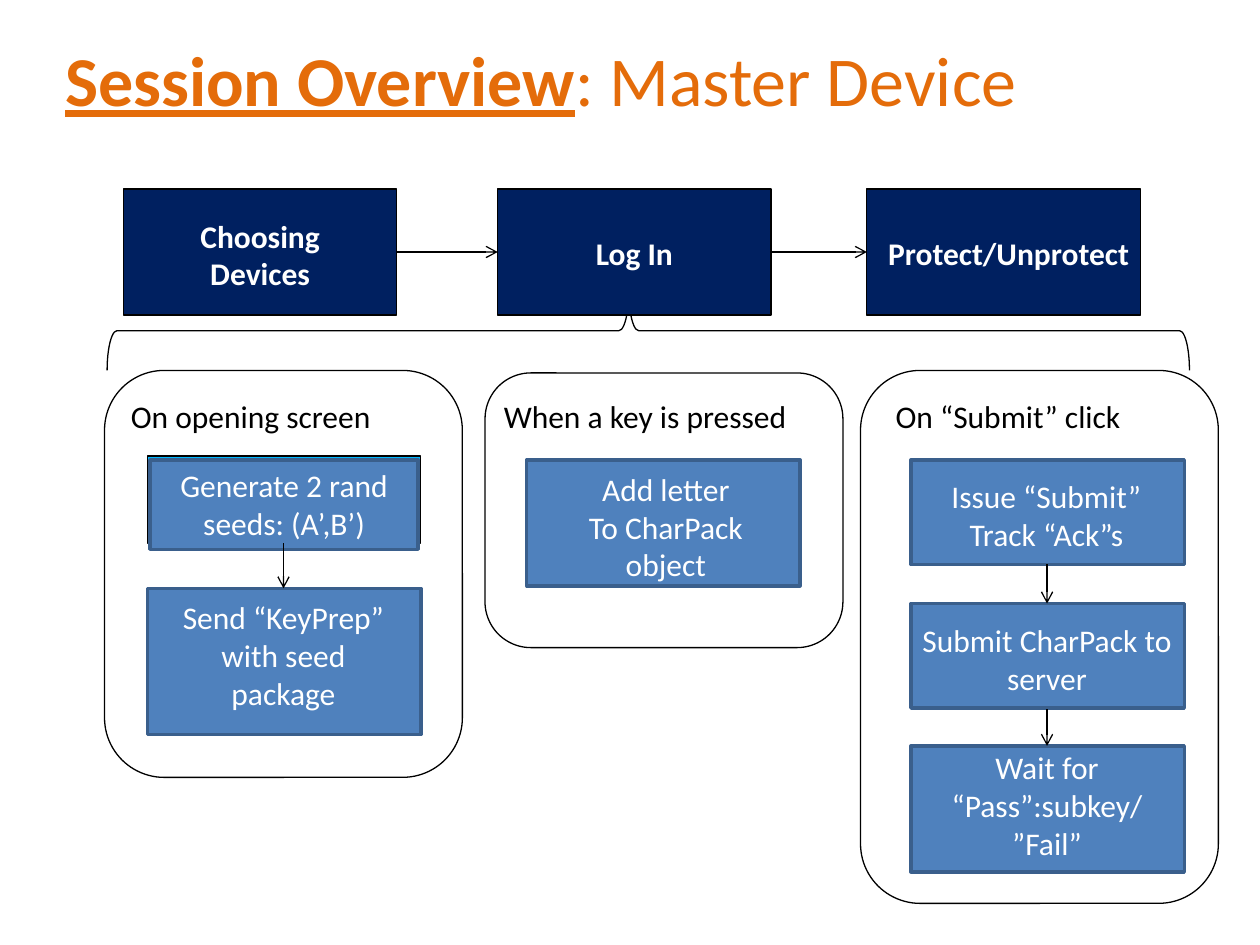
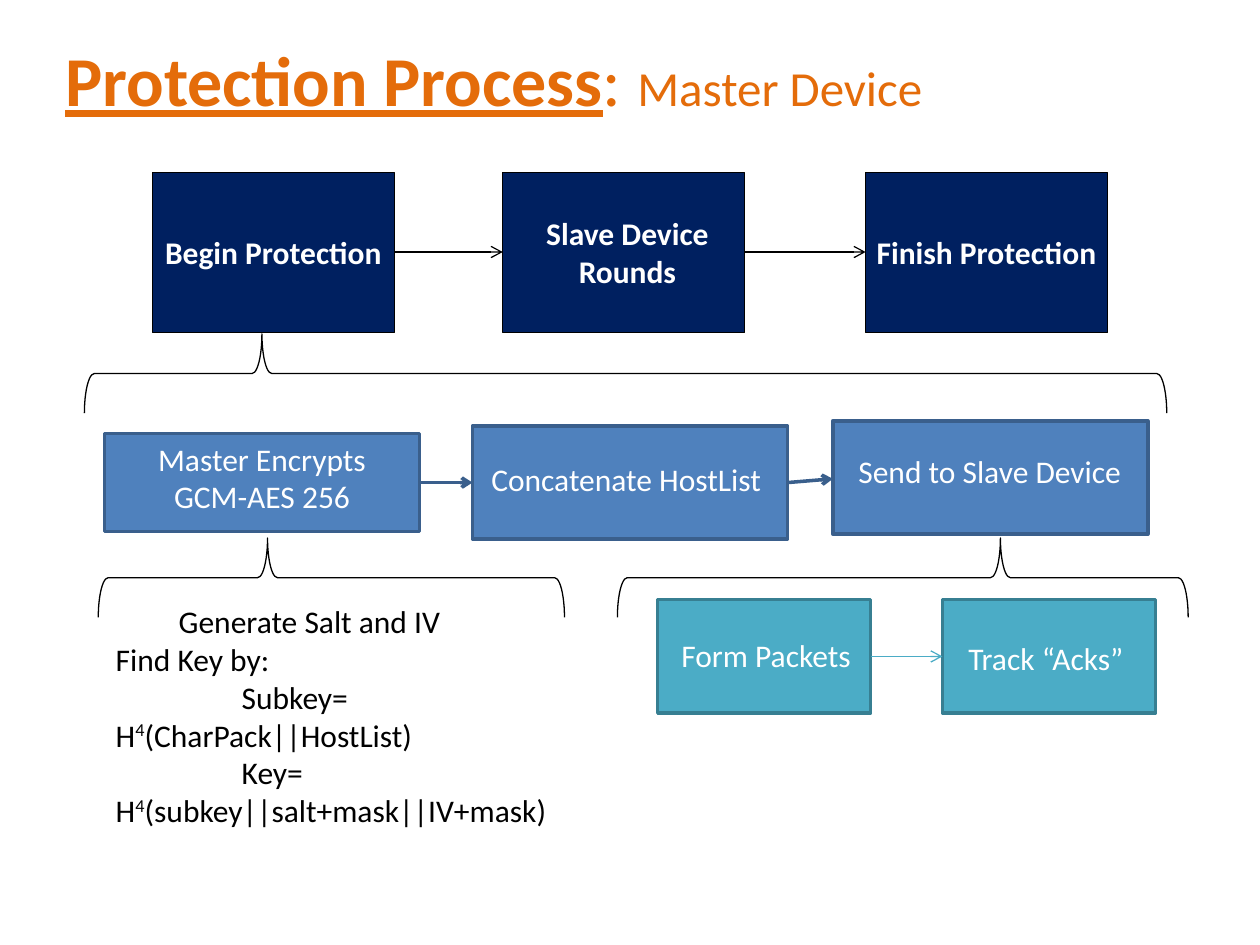
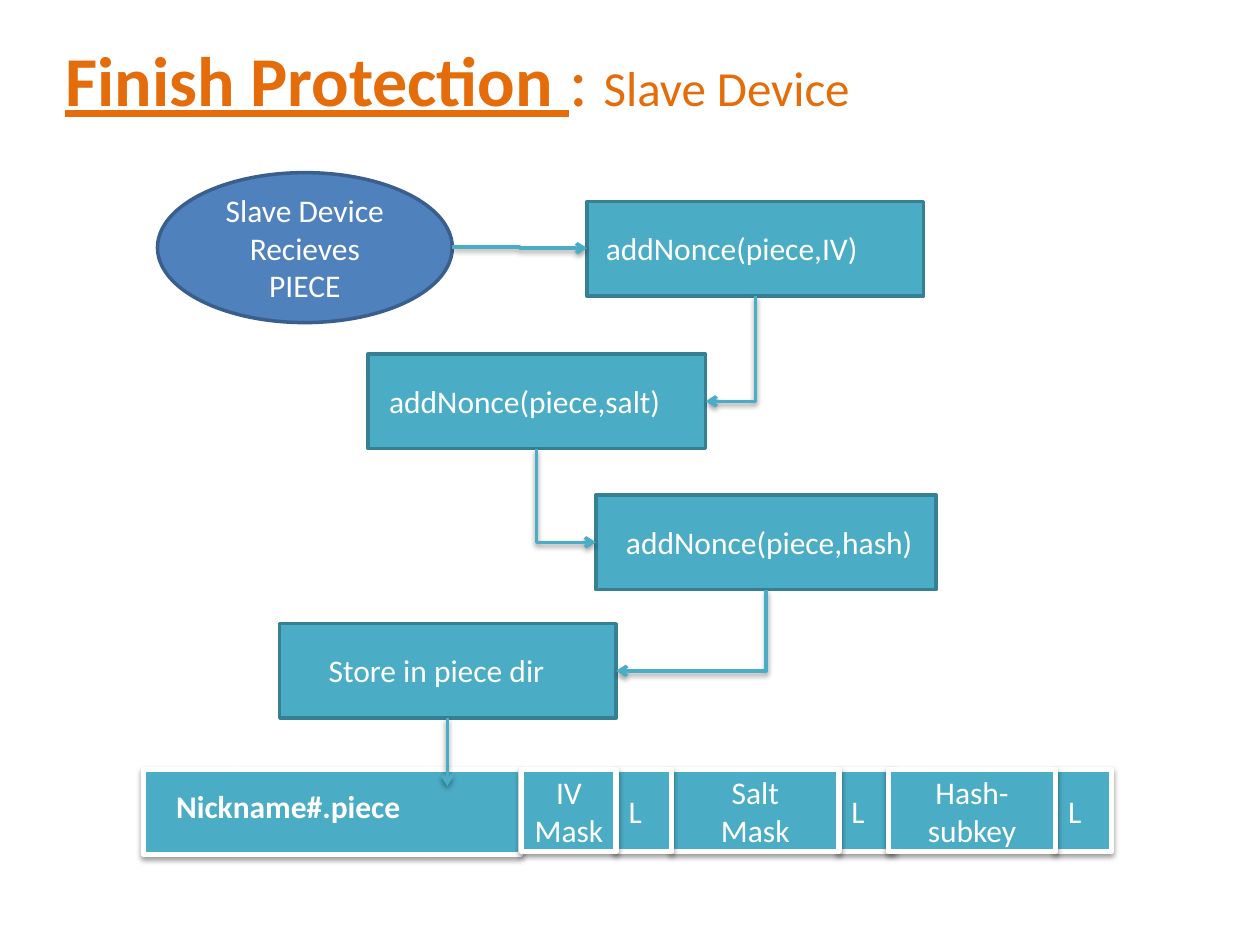
from lxml.etree import SubElement
from pptx import Presentation
from pptx.dml.color import RGBColor
from pptx.enum.shapes import MSO_CONNECTOR as LINK, MSO_SHAPE as SHAPE
from pptx.enum.text import MSO_ANCHOR as ANCHOR, PP_ALIGN as ALIGN
from pptx.oxml.ns import qn
from pptx.util import Inches, Pt

FONT = "Calibri"
WHITE = RGBColor(0xFF, 0xFF, 0xFF)
BLACK = RGBColor(0x00, 0x00, 0x00)
ORANGE = RGBColor(0xE4, 0x6C, 0x0A)
NAVY = RGBColor(0x00, 0x20, 0x60)
SKY = RGBColor(0x00, 0xB8, 0xFF)
BLUE = RGBColor(0x4F, 0x81, 0xBD)
BLUE_EDGE = RGBColor(0x3A, 0x5F, 0x8C)
TEAL = RGBColor(0x4B, 0xAC, 0xC6)
TEAL_EDGE = RGBColor(0x37, 0x7F, 0x92)

STAGE = dict(fill=NAVY, edge=BLACK)
STEP = dict(fill=BLUE, edge=BLUE_EDGE, weight=2)
ACTION = dict(fill=TEAL, edge=TEAL_EDGE, weight=2)
FIELD = dict(fill=TEAL, edge=WHITE, weight=3, shadow=True)


def add_block(slide, kind, at, lines=(), fill=None, edge=None, weight=0.75,
              shadow=False, color=WHITE, bold=False, align=ALIGN.CENTER,
              anchor=ANCHOR.TOP, wrap=True):
    """Add a preset shape, or a text box when kind is None."""
    box = [Inches(length) for length in at]
    if kind is None:
        block = slide.shapes.add_textbox(*box)
    else:
        block = slide.shapes.add_shape(kind, *box)
        block.shadow.inherit = False
        if fill is None:
            block.fill.background()
        else:
            block.fill.solid()
            block.fill.fore_color.rgb = fill
        block.line.color.rgb = edge
        block.line.width = Pt(weight)
        if shadow:
            cast = SubElement(block._element.spPr.find(qn("a:effectLst")), qn("a:outerShdw"),
                              blurRad="40000", dist="20000", dir="5400000", rotWithShape="0")
            tint = SubElement(cast, qn("a:srgbClr"), val="000000")
            SubElement(tint, qn("a:alpha"), val="38000")
    frame = block.text_frame
    frame.word_wrap = wrap
    frame.vertical_anchor = anchor
    for i, line in enumerate(lines):
        paragraph = frame.paragraphs[0] if i == 0 else frame.add_paragraph()
        paragraph.alignment = align
        run = paragraph.add_run()
        run.text = line
        run.font.name, run.font.size, run.font.bold = FONT, Pt(18), bold
        run.font.color.rgb = color
    return block


def add_arrow(slide, start, end, color=BLACK, weight=0.75, route="line", shadow=False):
    """Add an arrow; route is line, step (across) or corner (down, then across)."""
    (x1, y1), (x2, y2) = start, end
    if route == "corner":
        # A corner is drawn on its side and turned by 90 degrees.
        middle_x, middle_y = (x1 + x2) / 2, (y1 + y2) / 2
        half_w, half_h = (y2 - y1) / 2, (x1 - x2) / 2
        x1, x2 = middle_x - half_w, middle_x + half_w
        y1, y2 = middle_y - half_h, middle_y + half_h
    link = LINK.STRAIGHT if route == "line" else LINK.ELBOW
    arrow = slide.shapes.add_connector(link, *map(Inches, (x1, y1, x2, y2)))
    properties = arrow._element.spPr
    if route == "corner":
        arrow.rotation = 90
        properties.find(qn("a:prstGeom")).set("prst", "bentConnector2")
    arrow.line.color.rgb = color
    arrow.line.width = Pt(weight)
    SubElement(properties.find(qn("a:ln")), qn("a:tailEnd"), type="arrow")
    effects = SubElement(properties, qn("a:effectLst"))
    if shadow:
        cast = SubElement(effects, qn("a:outerShdw"), blurRad="40000", dist="20000",
                          dir="5400000", rotWithShape="0")
        tint = SubElement(cast, qn("a:srgbClr"), val="000000")
        SubElement(tint, qn("a:alpha"), val="38000")


deck = Presentation()
deck.slide_width, deck.slide_height = Inches(10), Inches(7.5)

# Slides and their titles
titles = [("Session Overview", ": ", "Master Device", 40),
          ("Protection Process", ": ", "Master Device", 28),
          ("Finish Protection ", ": ", "Slave Device", 28)]
for topic, colon, device, device_size in titles:
    slide = deck.slides.add_slide(deck.slide_layouts[6])
    title = add_block(slide, None, (0.42, 0, 9, 1.25), anchor=ANCHOR.MIDDLE)
    for words, size, strong in ((topic, 40, True), (colon, 40, False),
                                (device, device_size, False)):
        run = title.text_frame.paragraphs[0].add_run()
        run.text = words
        run.font.name, run.font.size = FONT, Pt(size)
        run.font.bold = run.font.underline = strong
        run.font.color.rgb = ORANGE
session, protection, finish = deck.slides

# Braces that open upwards: left, top, width, share of the tip from the right
braces = [(session, 0.85, 2.31, 8.59, 0.518),
          (protection, 0.67, 2.65, 8.59, 0.836),
          (protection, 0.78, 4.27, 3.7, 0.637),
          (protection, 4.9, 4.27, 4.53, 0.329)]
BRACE_H = 0.63
for slide, left, top, width, tip in braces:
    at = (left + (width - BRACE_H) / 2, top + (BRACE_H - width) / 2, BRACE_H, width)
    brace = add_block(slide, SHAPE.LEFT_BRACE, at, edge=BLACK)
    brace.rotation = 90
    brace.adjustments[0], brace.adjustments[1] = 0.125, tip

# Session overview: stages across the top
STAGE_W, STAGE_H, STAGE_Y = 2.17, 1, 1.5
stages = [(0.98, (1.15, 1.67, 1.83, 0.71), ["Choosing", "Devices"]),
          (3.95, (4.12, 1.81, 1.83, 0.4), ["Log In"]),
          (6.88, (6.88, 1.81, 2.25, 0.4), ["Protect/Unprotect"])]
for left, label_at, label in stages:
    add_block(session, SHAPE.RECTANGLE, (left, STAGE_Y, STAGE_W, STAGE_H), **STAGE)
    add_block(session, None, label_at, label, bold=True)
for (left, *_), (following, *_) in zip(stages, stages[1:]):
    add_arrow(session, (left + STAGE_W, 2), (following, 2))

# Session overview: one panel for each event
panels = [((0.83, 2.94, 2.84, 3.23), 0.94, "On opening screen"),
          ((3.85, 2.96, 2.84, 2.18), 3.9, "When a key is pressed"),
          ((6.83, 2.94, 2.84, 4.23), 7.01, "On “Submit” click")]
for panel_at, heading_x, heading in panels:
    add_block(session, SHAPE.ROUNDED_RECTANGLE, panel_at, edge=BLACK)
    add_block(session, None, (heading_x, 3.1, 3.79, 0.38), [heading],
              color=BLACK, align=ALIGN.LEFT)

# Session overview: steps inside the panels
steps = [((1.17, 4.67, STAGE_W, 1.16), (1.25, 4.7, 2, 1.31),
          ["Send “KeyPrep” with seed package"]),
         ((4.18, 3.65, STAGE_W, 1), (4.37, 3.68, 1.83, 1.01),
          ["Add letter", "To CharPack object"]),
         ((7.23, 3.65, STAGE_W, 0.83), (7.39, 3.74, 1.83, 0.71),
          ["Issue “Submit”", "Track “Ack”s"]),
         ((7.23, 4.79, STAGE_W, 0.83), (7.16, 4.88, 2.3, 0.71),
          ["Submit CharPack to server"]),
         ((7.23, 5.92, STAGE_W, 1), (7.16, 5.89, 2.3, 1.01),
          ["Wait for “Pass”:subkey/", "”Fail”"])]
for step_at, label_at, label in steps:
    add_block(session, SHAPE.RECTANGLE, step_at, **STEP)
    add_block(session, None, label_at, label)
add_block(session, SHAPE.RECTANGLE, (1.17, 3.62, STAGE_W, 0.69), fill=SKY, edge=BLACK)
add_block(session, SHAPE.RECTANGLE, (1.19, 3.65, 2.13, 0.71),
          ["Generate 2 rand seeds: (A’,B’)"], **STEP)
for x, top, bottom in ((2.25, 4.31, 4.67), (8.31, 4.48, 4.79), (8.31, 5.63, 5.92)):
    add_arrow(session, (x, top), (x, bottom))

# Protection process: phases across the top
PHASE_W = 1.92
phases = [(1.21, (1.17, 1.8, 2, 0.4), "Begin Protection"),
          (3.99, (3.98, 1.65, 2, 0.71), "Slave Device Rounds"),
          (6.87, (6.83, 1.8, 2, 0.4), "Finish Protection")]
for left, label_at, label in phases:
    add_block(protection, SHAPE.RECTANGLE, (left, 1.37, PHASE_W, 1.27), **STAGE)
    add_block(protection, None, label_at, [label], bold=True)
for (left, *_), (following, *_) in zip(phases, phases[1:]):
    add_arrow(protection, (left + PHASE_W, 2), (following, 2))

# Protection process: master steps and packet handling
add_block(protection, SHAPE.RECTANGLE, (0.83, 3.44, 2.5, 0.78),
          ["Master Encrypts", "GCM-AES 256"], **STEP)
tasks = [((3.75, 3.38, 2.5, 0.9), (3.72, 3.6, 2.5, 0.4), "Concatenate HostList", STEP),
         ((6.61, 3.34, 2.5, 0.9), (6.69, 3.54, 2.33, 0.4), "Send to Slave Device", STEP),
         ((5.22, 4.76, 1.69, 0.9), (5.22, 5, 1.72, 0.4), "Form Packets", ACTION),
         ((7.48, 4.76, 1.69, 0.9), (7.44, 5.02, 1.72, 0.4), "Track “Acks”", ACTION)]
for task_at, label_at, label, look in tasks:
    add_block(protection, SHAPE.RECTANGLE, task_at, **look)
    add_block(protection, None, label_at, [label])
add_arrow(protection, (3.33, 3.83), (3.75, 3.83), BLUE_EDGE, 2)
add_arrow(protection, (6.25, 3.83), (6.61, 3.8), BLUE_EDGE, 2)
add_arrow(protection, (6.91, 5.21), (7.48, 5.21), TEAL)

# Protection process: key derivation, as indent and (text, raised) runs
derivation = [(0.5, [("Generate Salt and IV", False)]),
              (0, [("Find Key by:", False)]),
              (1, [("Subkey=", False)]),
              (0, [("H", False), ("4", True), ("(CharPack||HostList)", False)]),
              (1, [("Key=", False)]),
              (0, [("H", False), ("4", True), ("(subkey||salt+mask||IV+mask)", False)])]
notes = add_block(protection, None, (0.82, 4.73, 3.65, 2.25)).text_frame
for i, (indent, pieces) in enumerate(derivation):
    paragraph = notes.paragraphs[0] if i == 0 else notes.add_paragraph()
    paragraph._p.get_or_add_pPr().set("marL", str(Inches(indent)))
    for words, raised in pieces:
        run = paragraph.add_run()
        run.text = words
        run.font.name, run.font.size = FONT, Pt(18)
        run.font.color.rgb = BLACK
        if raised:
            run._r.get_or_add_rPr().set("baseline", "33000")

# Finish protection: fields of the stored piece
FIELD_Y, FIELD_H, LENGTH_W = 6.11, 0.65, 0.44
add_block(finish, SHAPE.FLOWCHART_PROCESS, (1.14, FIELD_Y, 2.99, 0.67), **FIELD)
add_block(finish, None, (1.3, 6.2, 3.13, 0.71), ["Nickname#.piece"],
          bold=True, align=ALIGN.LEFT)
fields = [(5.33, 1.33, ["Salt", "Mask"]),
          (4.14, 0.75, ["IV", "Mask"]),
          (7.05, 1.33, ["Hash-", "subkey"])]
for left, width, label in fields:
    length = add_block(finish, SHAPE.ROUNDED_RECTANGLE,
                       (left + width, FIELD_Y, LENGTH_W, FIELD_H), ["L"],
                       align=ALIGN.LEFT, anchor=ANCHOR.MIDDLE, **FIELD)
    length.adjustments[0] = 0
    add_block(finish, SHAPE.RECTANGLE, (left, FIELD_Y, width, FIELD_H), label,
              anchor=ANCHOR.MIDDLE, wrap=False, **FIELD)

# Finish protection: the chain of calls
add_block(finish, SHAPE.OVAL, (1.25, 1.37, 2.34, 1.19),
          ["Slave Device", "Recieves PIECE"], anchor=ANCHOR.MIDDLE, **STEP)
calls = [(4.66, 1.6, 2.67, 4.71, "addNonce(piece,IV)"),
         (2.92, 2.81, 2.68, 2.99, "addNonce(piece,salt)"),
         (4.73, 3.93, 2.7, 4.87, "addNonce(piece,hash)"),
         (2.22, 4.95, 2.67, 2.51, "Store in piece dir")]
CALL_H = 0.75
for left, top, width, label_x, label in calls:
    add_block(finish, SHAPE.FLOWCHART_PROCESS, (left, top, width, CALL_H), **ACTION)
    add_block(finish, None, (label_x, top + 0.17, 2.84, 0.4), [label], align=ALIGN.LEFT)

# Finish protection: arrows from call to call
FLOW = dict(color=TEAL, weight=2, shadow=True)
add_arrow(finish, (3.59, 1.96), (4.66, 1.97), route="step", **FLOW)
for (left, top, width, *_), (next_left, next_top, next_width, *_) in zip(calls, calls[1:]):
    side = next_left + next_width if next_left < left else next_left
    add_arrow(finish, (left + width / 2, top + CALL_H), (side, next_top + CALL_H / 2),
              route="corner", **FLOW)
add_arrow(finish, (3.55, 5.7), (3.55, 6.24), **FLOW)

deck.save("out.pptx")
